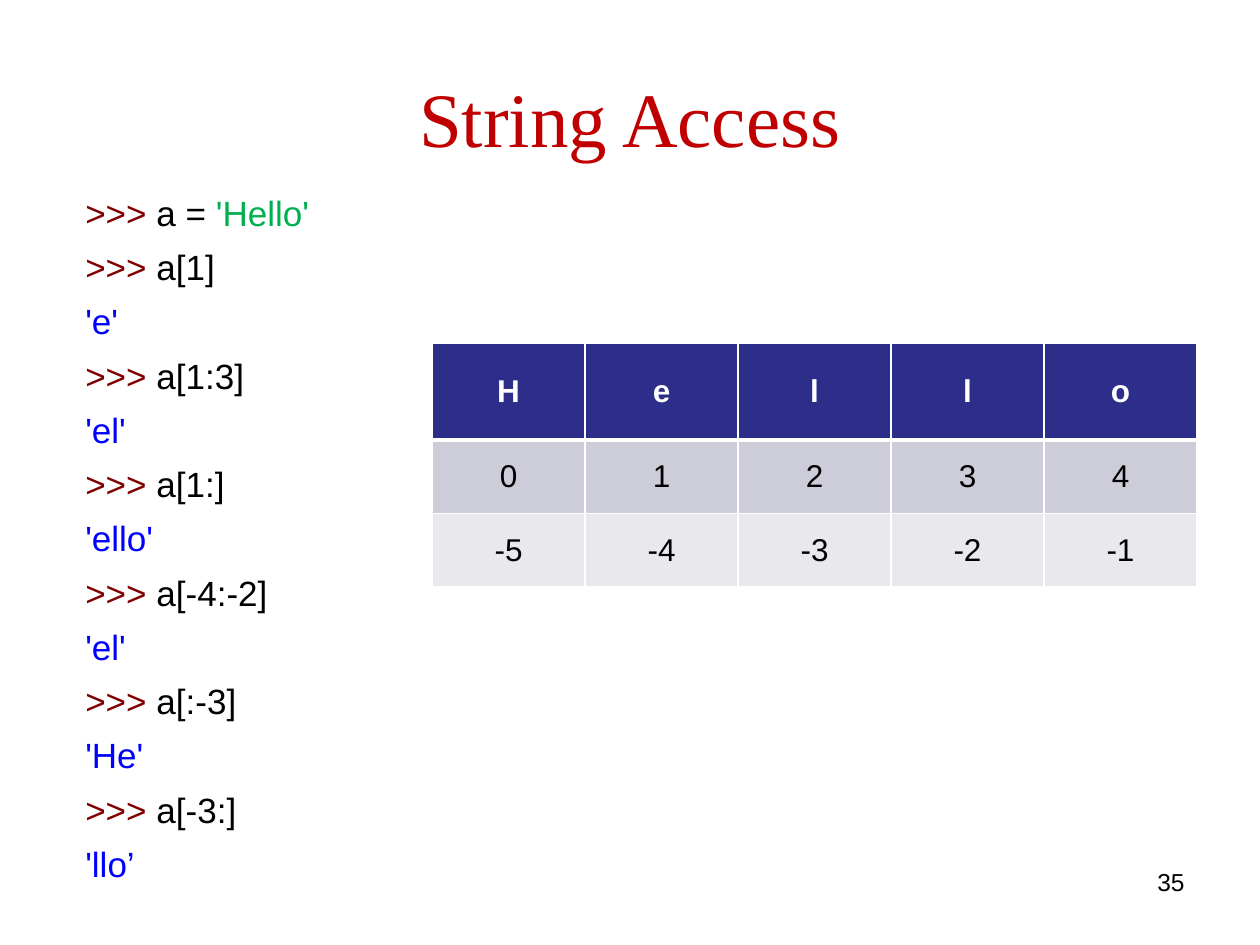
from lxml import etree
from pptx import Presentation
from pptx import util as u
from pptx.dml.color import RGBColor
from pptx.enum import text
from pptx.oxml.ns import qn

HUES = {
    "title": "C00000", "prompt": "800000", "code": "000000",
    "string": "00B050", "output": "0000FF", "white": "FFFFFF",
    "head": "2D2D8A", "dark": "CDCDDA", "light": "E8E8ED",
}
ALIGN = text.PP_ALIGN


class Deck:
    """Holds the style and the current slide."""
    font = "Arial"

    def __init__(self):
        self.prs = Presentation()
        self.prs.slide_width, self.prs.slide_height = u.Cm(25.4), u.Cm(19.05)
        self.slide = self.prs.slides.add_slide(self.prs.slide_layouts[5])

    def run(self, para, words, hue, size, font=None, bold=False):
        run = para.add_run()
        run.text = words
        run.font.name = font or self.font
        run.font.size = u.Pt(size)
        run.font.bold = bold
        run.font.color.rgb = RGBColor.from_string(HUES[hue])

    def title(self, words, box):
        shape = self.slide.shapes.title
        shape.left, shape.top, shape.width, shape.height = map(u.Cm, box)
        frame = shape.text_frame
        frame.vertical_anchor = text.MSO_ANCHOR.MIDDLE
        para = frame.paragraphs[0]
        para.alignment = ALIGN.CENTER
        self.run(para, words, "title", 44, "Times New Roman")

    def text(self, lines, box, size, align=ALIGN.LEFT, gap=0):
        frame = self.slide.shapes.add_textbox(*map(u.Cm, box)).text_frame
        frame.word_wrap = True
        for i, runs in enumerate(lines):
            para = frame.add_paragraph() if i else frame.paragraphs[0]
            para.alignment = align
            if i:
                para.space_before = u.Pt(gap)
            for words, hue in runs:
                self.run(para, words, hue, size)

    def edge(self, cell, side, width):
        line = etree.SubElement(cell._tc.get_or_add_tcPr(), qn("a:" + side),
                                w=str(u.Pt(width)))
        fill = etree.SubElement(line, qn("a:solidFill"))
        etree.SubElement(fill, qn("a:srgbClr"), val=HUES["white"])

    def table(self, rows, box, highs, fills):
        grid = self.slide.shapes.add_table(
            len(rows), len(rows[0]), *map(u.Cm, box)).table
        for col in grid.columns:
            col.width = u.Cm(box[2] / len(rows[0]))
        for r, row in enumerate(rows):
            grid.rows[r].height = u.Cm(highs[r])
            for c, words in enumerate(row):
                cell = grid.cell(r, c)
                # Borders come before the fill in the cell properties
                for side in ("lnL", "lnR", "lnT", "lnB"):
                    thick = (r, side) in ((0, "lnB"), (1, "lnT"))
                    self.edge(cell, side, 3 if thick else 1)
                cell.fill.solid()
                cell.fill.fore_color.rgb = RGBColor.from_string(HUES[fills[r]])
                cell.vertical_anchor = text.MSO_ANCHOR.MIDDLE
                para = cell.text_frame.paragraphs[0]
                para.alignment = ALIGN.CENTER
                self.run(para, words, "code" if r else "white", 18, bold=not r)


def main():
    deck = Deck()
    deck.title("String Access", (1.27, 0.76, 22.86, 3.18))

    # Interpreter session: each command with its output
    lines = [[(">>>", "prompt"), (" a = ", "code"), ("'Hello'", "string")]]
    for code, out in (("a[1]", "'e'"), ("a[1:3]", "'el'"),
                      ("a[1:]", "'ello'"), ("a[-4:-2]", "'el'"),
                      ("a[:-3]", "'He'"), ("a[-3:]", "'llo’")):
        lines.append([(">>>", "prompt"), (" " + code, "code")])
        lines.append([(out, "output")])
    deck.text(lines, (1.47, 3.73, 18.21, 13.94), 20, gap=7)

    # Slide number
    deck.text([[("35", "code")]], (18.21, 17.35, 5.92, 1.32), 14, ALIGN.RIGHT)

    # Letters with their indexes from the front and from the back
    word = "Hello"
    rows = [list(word), [str(i) for i in range(len(word))],
            [str(i) for i in range(-len(word), 0)]]
    deck.table(rows, (8.71, 6.91, 15.42, 4.92), (1.96, 1.48, 1.48),
               ("head", "dark", "light"))

    deck.prs.save("out.pptx")


if __name__ == "__main__":
    main()
